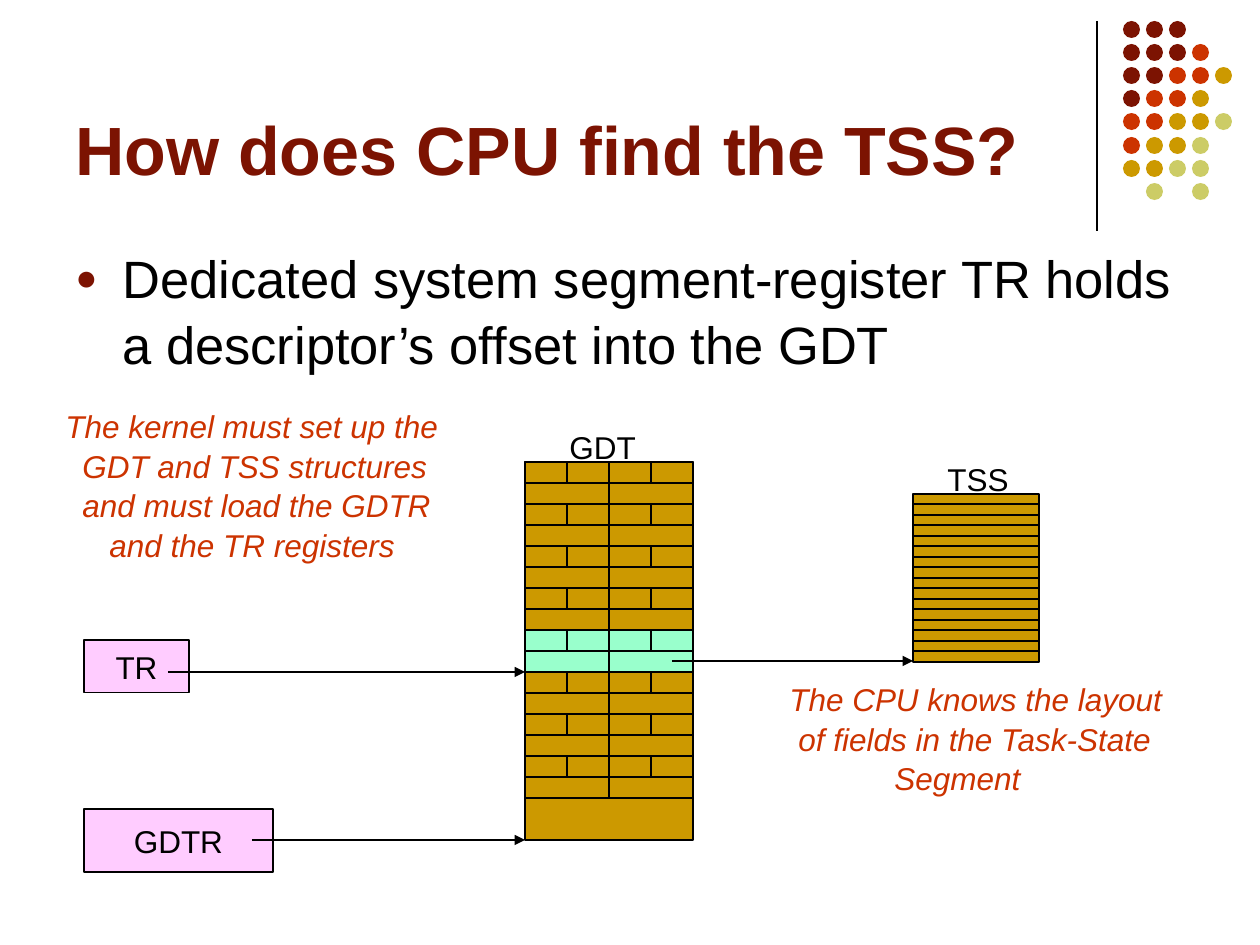
import dataclasses
import typing

import pptx
import pptx.dml.color
import pptx.enum.shapes
import pptx.enum.text
import pptx.oxml
import pptx.oxml.ns
import pptx.util

SCALE = 914400 // 126
BLACK, MAROON, RED, GOLD = "000000", "7C1302", "CC3300", "CC9900"
LIME, PINK, MINT = "CCCC66", "FFCCFF", "99FFCC"
FORM = pptx.enum.shapes.MSO_SHAPE
ALIGN = pptx.enum.text.PP_ALIGN
ANCHOR = pptx.enum.text.MSO_ANCHOR


@dataclasses.dataclass
class Box:
    left: int
    top: int
    width: int
    height: int


@dataclasses.dataclass
class Label:
    box: Box
    lines: list[str]
    form: dict[str, typing.Any] = dataclasses.field(default_factory=dict)


@dataclasses.dataclass
class Arrow:
    left: int
    right: int
    top: int
    head: bool = True


def px(count: int) -> int:
    return count * SCALE


def paint(target: typing.Any, code: str) -> None:
    target.rgb = pptx.dml.color.RGBColor.from_string(code)


def place(box: Box) -> tuple[int, ...]:
    return tuple(px(side) for side in dataclasses.astuple(box))


def write(shape: typing.Any, lines: list[str], *, size: float = 18,
          color: str = BLACK, bold: bool = False, slant: bool = False,
          align: typing.Any = ALIGN.LEFT, anchor: typing.Any = ANCHOR.TOP,
          insets: typing.Sequence[int] = (), bullet: str = "",
          before: float = 0, pitch: float = 1.05) -> None:
    frame = shape.text_frame
    frame.word_wrap = True
    frame.vertical_anchor = anchor
    for row, line in enumerate(lines):
        para = frame.paragraphs[0] if row == 0 else frame.add_paragraph()
        para.alignment = align
        para.line_spacing = pitch
        para.space_before = pptx.util.Pt(before)
        props = para._p.get_or_add_pPr()
        if insets:
            props.set("marL", str(px(insets[row])))
        if bullet:
            props.set("indent", str(-px(insets[row])))
            space = pptx.oxml.ns.nsdecls("a")
            for part in (f'<a:buClr {space}><a:srgbClr val="{MAROON}"/></a:buClr>',
                         f'<a:buSzPct {space} val="70000"/>',
                         f'<a:buFont {space} typeface="Arial"/>',
                         f'<a:buChar {space} char="{bullet}"/>'):
                props.append(pptx.oxml.parse_xml(part))
        run = para.add_run()
        run.text = line
        font = run.font
        font.name, font.size = "Arial", pptx.util.Pt(size)
        font.bold, font.italic = bold, slant
        paint(font.color, color)


def draw(host: typing.Any, box: Box, fill: str, form: typing.Any = FORM.RECTANGLE,
         edge: bool = True) -> typing.Any:
    shape = host.add_shape(form, *place(box))
    shape.shadow.inherit = False
    shape.fill.solid()
    paint(shape.fill.fore_color, fill)
    if edge:
        shape.line.width = pptx.util.Pt(0.74)
        paint(shape.line.color, BLACK)
    else:
        shape.line.fill.background()
    return shape


def link(host: typing.Any, start: tuple[int, int], end: tuple[int, int],
         head: bool = True) -> None:
    line = host.add_connector(pptx.enum.shapes.MSO_CONNECTOR.STRAIGHT,
                              *(px(side) for side in start + end))
    line.line.width = pptx.util.Pt(0.74)
    paint(line.line.color, BLACK)
    space = pptx.oxml.ns.nsdecls("a")
    if head:
        line.line._get_or_add_ln().append(
            pptx.oxml.parse_xml(f'<a:tailEnd {space} type="triangle"/>'))
    line._element.spPr.append(pptx.oxml.parse_xml(f"<a:effectLst {space}/>"))


def dots(host: typing.Any) -> None:
    group = host.add_group_shape()
    tints = {"m": MAROON, "r": RED, "g": GOLD, "l": LIME}
    rows = ["mmm", "mmmr", "mmrrg", "mrrg", "rrggl", "rggl", "ggll", " l l"]
    for row, marks in enumerate(rows):
        for col, mark in enumerate(marks):
            if mark in tints:
                box = Box(1123 + col * 116 // 5, 21 + row * 116 // 5, 17, 17)
                draw(group.shapes, box, tints[mark], FORM.OVAL, edge=False)


def bricks(host: typing.Any) -> None:
    draw(host, Box(525, 462, 168, 378), GOLD)
    for row in range(16):
        count = 2 if row % 2 else 4
        wide = 168 // count
        for col in range(count):
            box = Box(525 + col * wide, 462 + row * 21, wide, 21)
            draw(host, box, MINT if row in (8, 9) else GOLD)


def stack(host: typing.Any) -> None:
    for row in range(16):
        top, base = 494 + row * 21 // 2, 494 + (row + 1) * 21 // 2
        draw(host, Box(913, top, 126, base - top), GOLD)


deck = pptx.Presentation()
deck.slide_width, deck.slide_height = px(1260), px(945)
slide = deck.slides.add_slide(deck.slide_layouts[6])
host = slide.shapes

link(host, (1097, 21), (1097, 231), head=False)
dots(host)
bricks(host)
stack(host)

note = {"color": RED, "slant": True}
labels = [
    Label(Box(63, 16, 1040, 179), ["How does CPU find the TSS?"],
          {"size": 39, "color": MAROON, "bold": True, "anchor": ANCHOR.BOTTOM}),
    Label(Box(63, 237, 1134, 607),
          ["Dedicated system segment-register TR holds a descriptor’s offset into the GDT"],
          {"size": 30, "insets": [47], "bullet": "●", "before": 7.5}),
    Label(Box(557, 420, 100, 50), ["GDT"]),
    Label(Box(935, 452, 94, 50), ["TSS"]),
    Label(Box(777, 672, 404, 126),
          ["The CPU knows the layout", "of fields in the Task-State", "Segment"],
          {**note, "insets": [0, 9, 105]}),
    Label(Box(53, 399, 404, 164),
          ["The kernel must set up the", "GDT and TSS structures",
           "and must load the GDTR", "and the TR registers"],
          {**note, "insets": [0, 17, 17, 44]}),
]
for label in labels:
    write(host.add_textbox(*place(label.box)), label.lines, **label.form)

for label in [Label(Box(84, 640, 105, 53), ["TR"]),
              Label(Box(84, 809, 189, 63), ["GDTR"])]:
    write(draw(host, label.box, PINK), label.lines,
          align=ALIGN.CENTER, anchor=ANCHOR.MIDDLE)

for arrow in [Arrow(252, 525, 840), Arrow(168, 525, 672), Arrow(672, 913, 661)]:
    link(host, (arrow.left, arrow.top), (arrow.right, arrow.top), arrow.head)

deck.save("out.pptx")
